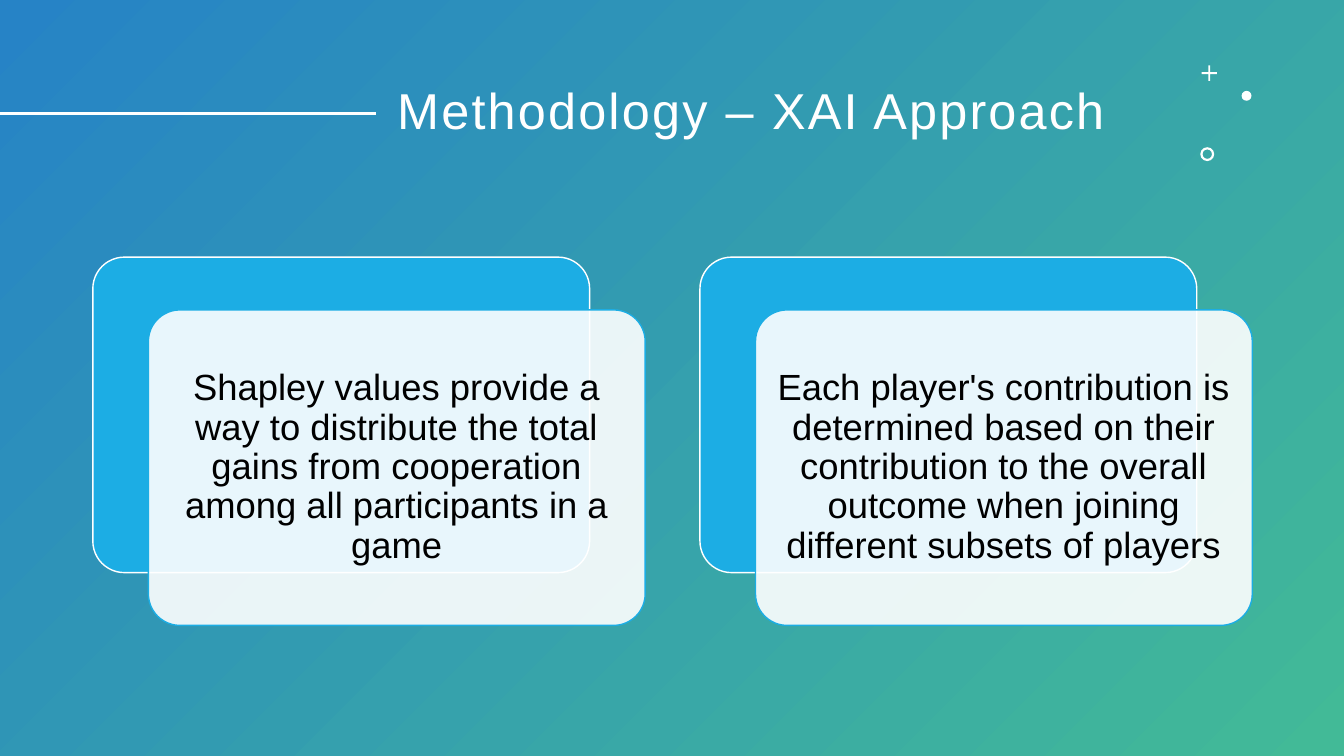
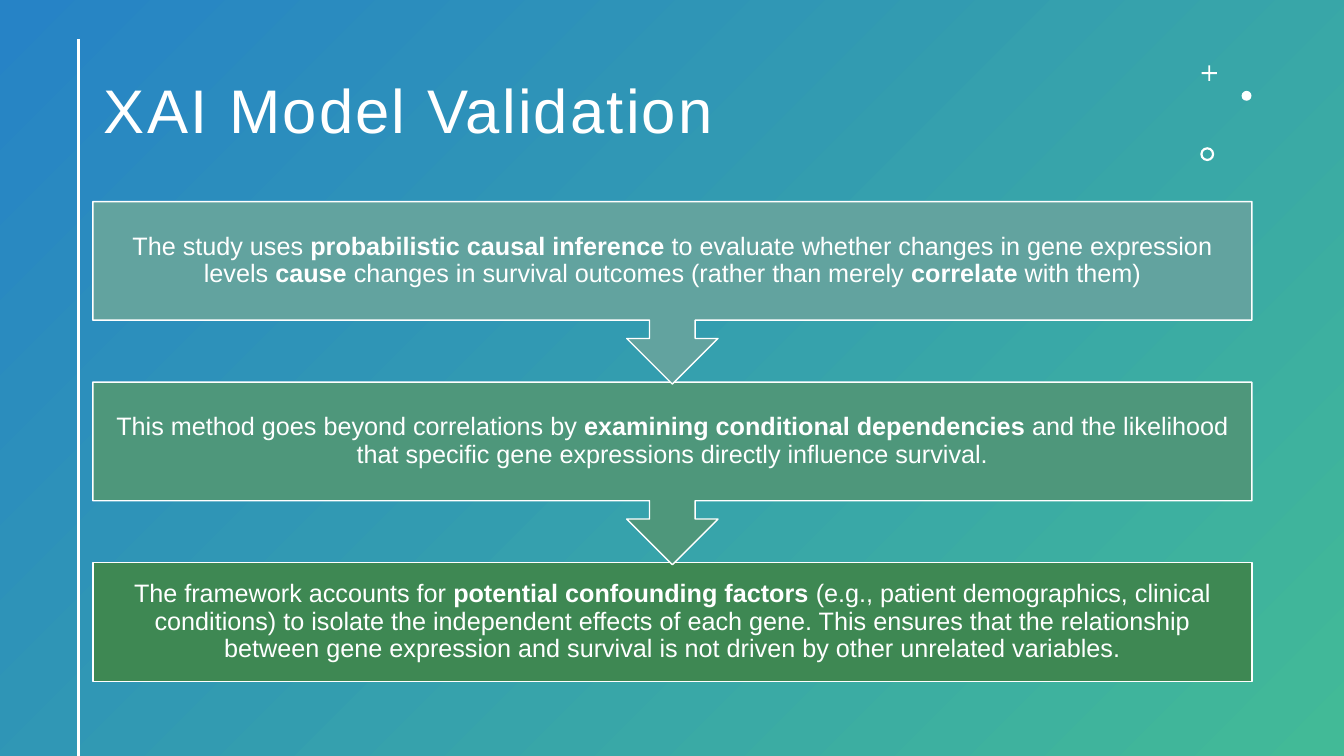
import pptx
import pptx.util
import pptx.dml.color
import pptx.enum.shapes
import pptx.enum.text
import pptx.oxml.xmlchemy
from lxml import etree
from pptx.oxml.ns import qn

Cm = pptx.util.Cm
Pt = pptx.util.Pt
RGBColor = pptx.dml.color.RGBColor
Shape = pptx.enum.shapes.MSO_SHAPE
Align = pptx.enum.text.PP_ALIGN

WHITE = RGBColor(0xFF, 0xFF, 0xFF)
BLACK = RGBColor(0x00, 0x00, 0x00)
BLUE = RGBColor(0x26, 0x83, 0xC6)
MINT = RGBColor(0x42, 0xBA, 0x97)
CYAN = RGBColor(0x1C, 0xAD, 0xE4)
TEAL = RGBColor(0x62, 0xA3, 0x9F)
SAGE = RGBColor(0x4E, 0x97, 0x7B)
GREEN = RGBColor(0x3E, 0x88, 0x53)

WIDTH, HEIGHT = 33.87, 19.05
LEFT = 2.34  # left edge of the content


class Deck:
    """Holds the style and the current slide; lengths are in centimetres."""

    font = "Arial"

    def __init__(self):
        self.prs = pptx.Presentation()
        self.prs.slide_width, self.prs.slide_height = Cm(WIDTH), Cm(HEIGHT)
        self.s = None

    def slide(self):
        """Start a slide with the gradient background and corner ornaments."""
        self.s = self.prs.slides.add_slide(self.prs.slide_layouts[6])
        fill = self.s.background.fill
        fill.gradient()
        fill.gradient_angle = 315
        for stop, color in zip(fill.gradient_stops, (BLUE, MINT)):
            stop.color.rgb = color
        self.shape(Shape.CROSS, 30.28, 1.65, 0.39, 0.39, WHITE, adj=0.44)
        self.shape(Shape.OVAL, 31.29, 2.29, 0.25, 0.25, WHITE)
        self.shape(Shape.DONUT, 30.25, 3.71, 0.35, 0.35, WHITE, adj=0.16)

    def shape(self, kind, x, y, w, h, fill, line=None, adj=None, alpha=None):
        sp = self.s.shapes.add_shape(kind, Cm(x), Cm(y), Cm(w), Cm(h))
        sp.shadow.inherit = False
        sp.fill.solid()
        sp.fill.fore_color.rgb = fill
        if line is None:
            sp.line.fill.background()
        else:
            sp.line.color.rgb = line
            sp.line.width = Pt(1)
        if adj is not None:
            sp.adjustments[0] = adj
        if alpha is not None:
            color = sp.fill._xPr.find(qn("a:solidFill"))[0]
            etree.SubElement(color, qn("a:alpha"), val=str(alpha * 1000))
        return sp

    def text(self, sp, text, size, color, inset, align=Align.CENTER, spacing=None):
        """Fill a shape with one paragraph; **double stars** mark bold runs."""
        tf = sp.text_frame
        frame = {"word_wrap": True,
                 "vertical_anchor": pptx.enum.text.MSO_ANCHOR.MIDDLE}
        for side in ("left", "top", "right", "bottom"):
            frame["margin_" + side] = Cm(inset)
        for name, value in frame.items():
            setattr(tf, name, value)
        p = tf.paragraphs[0]
        p.alignment, p.line_spacing = align, 0.9
        for i, part in enumerate(text.split("**")):
            r = p.add_run()
            r.text = part
            style = {"name": self.font, "size": Pt(size), "bold": i % 2 == 1}
            for name, value in style.items():
                setattr(r.font, name, value)
            r.font.color.rgb = color
            if spacing:
                r.font._element.set("spc", str(spacing))

    def title(self, text, x, w, size):
        sp = self.s.shapes.add_textbox(Cm(x), Cm(1.02), Cm(w), Cm(3.68))
        self.text(sp, text, size, WHITE, 0.28, Align.LEFT, spacing=160)

    def rule(self, x1, y1, x2, y2):
        line = self.s.shapes.add_connector(
            pptx.enum.shapes.MSO_CONNECTOR.STRAIGHT, Cm(x1), Cm(y1), Cm(x2), Cm(y2))
        line.line.color.rgb = WHITE
        line.line.width = Pt(2.25)
        etree.SubElement(line._element.spPr, qn("a:effectLst"))

    def card(self, x, text):
        """A translucent card lying over a cyan one."""
        y, w, h = 6.48, 12.52, 7.95
        self.shape(Shape.ROUNDED_RECTANGLE, x, y, w, h, CYAN, WHITE, 0.1)
        sp = self.shape(Shape.ROUNDED_RECTANGLE, x + 1.4, y + 1.33, w, h,
                        WHITE, CYAN, 0.1, alpha=90)
        self.text(sp, text, 26, BLACK, 0.27)

    def step(self, kind, y, h, fill, text):
        sp = self.shape(kind, LEFT, y, 29.21, h, fill, WHITE)
        self.text(sp, text, 18, WHITE, 0.36)


def approach_slide(deck):
    deck.slide()
    deck.title("Methodology – XAI Approach", 9.73, 19.9, 36)
    deck.rule(0, 2.85, 9.48, 2.85)
    cards = (
        "Shapley values provide a way to distribute the total gains from "
        "cooperation among all participants in a game",
        "Each player's contribution is determined based on their contribution "
        "to the overall outcome when joining different subsets of players",
    )
    for i, text in enumerate(cards):
        deck.card(LEFT + i * 15.3, text)


def validation_slide(deck):
    deck.slide()
    deck.title("XAI Model Validation", LEFT, 27.23, 44)
    deck.rule(1.98, 0.98, 1.98, HEIGHT)
    steps = (
        (TEAL, "The study uses **probabilistic causal inference** to evaluate "
               "whether changes in gene expression levels **cause** changes in "
               "survival outcomes (rather than merely **correlate** with them)"),
        (SAGE, "This method goes beyond correlations by **examining conditional "
               "dependencies** and the likelihood that specific gene expressions "
               "directly influence survival."),
        (GREEN, "The framework accounts for **potential confounding factors **"
                "(e.g., patient demographics, clinical conditions) to isolate the "
                "independent effects of each gene. This ensures that the "
                "relationship between gene expression and survival is not driven "
                "by other unrelated variables."),
    )
    # Last step first, so each arrow tip lies over the step below it
    for i, (fill, text) in reversed(list(enumerate(steps))):
        last = i == len(steps) - 1
        kind = Shape.RECTANGLE if last else Shape.DOWN_ARROW_CALLOUT
        deck.step(kind, 5.08 + i * 4.55, 2.99 if last else 4.6, fill, text)


def main():
    deck = Deck()
    approach_slide(deck)
    validation_slide(deck)
    deck.prs.save("out.pptx")


if __name__ == "__main__":
    main()
